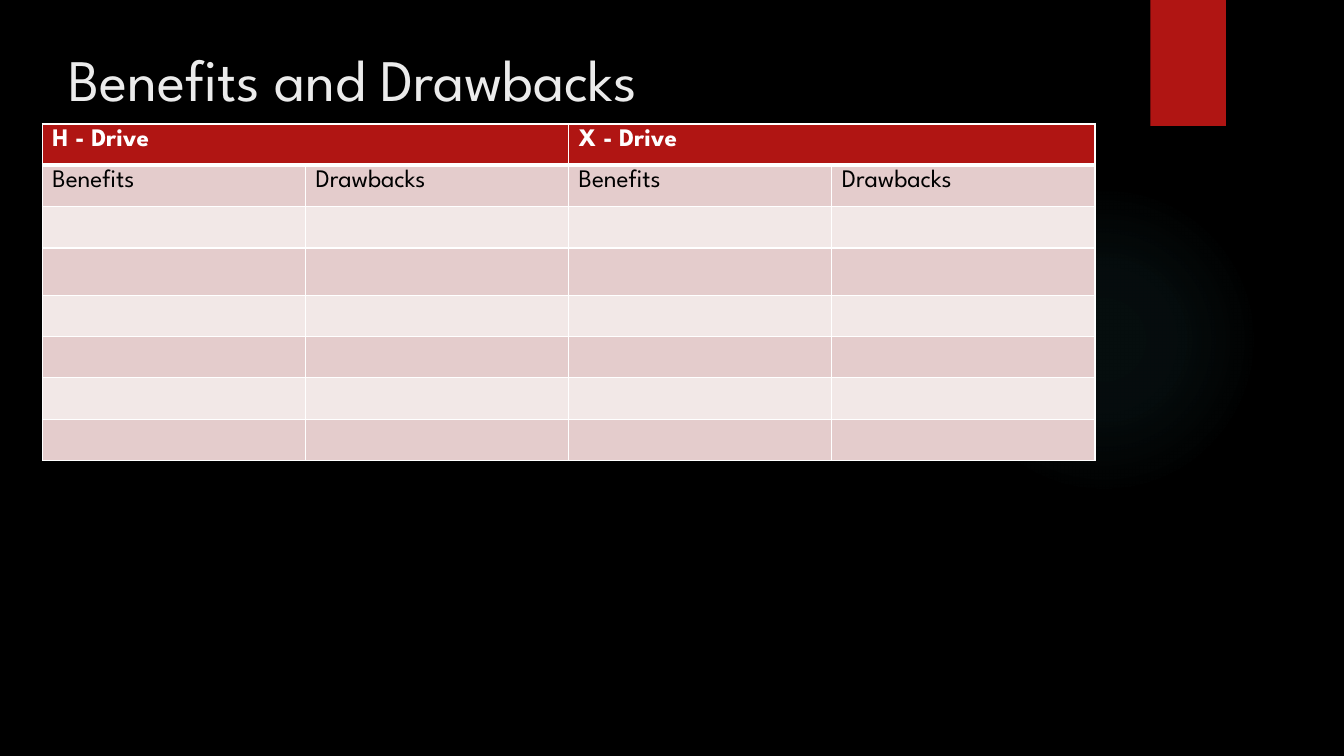
from pptx import Presentation
from pptx.dml.color import RGBColor as RGB
from pptx.enum.shapes import MSO_SHAPE as SHAPE
from pptx.enum.text import MSO_ANCHOR as ANCHOR
from pptx.oxml import parse_xml
from pptx.oxml.ns import nsdecls, qn
from pptx.util import Inches, Pt

COLORS = {
    "background": "000000",
    "title": "EBEBEB",
    "accent": "B01513",
    "glow": "50B9C1",
    "white": "FFFFFF",
    "black": "000000",
    "band_dark": "E4CCCC",
    "band_light": "F2E8E7",
}
DRIVES = ["H - Drive", "X - Drive"]
SIDES = ["Benefits", "Drawbacks"]
ROW_HEIGHTS = [0.41] * 3 + [0.47] + [0.41] * 4
COLUMN_WIDTH = 2.61


def write(tf, text, size=18, color="black", bold=False, font="League Spartan"):
    r = tf.paragraphs[0].add_run()
    r.text = text
    r.font.size = Pt(size)
    r.font.name = font
    r.font.bold = bold
    r.font.color.rgb = RGB.from_string(COLORS[color])


class Deck:
    """Holds the slide style and draws each kind of element."""

    def __init__(self):
        self.prs = Presentation()
        self.prs.slide_width = Inches(13.33)
        self.prs.slide_height = Inches(7.5)
        self.s = self.prs.slides.add_slide(self.prs.slide_layouts[6])
        self.paint(self.s.background.fill, "background")

    def paint(self, fill, color):
        fill.solid()
        fill.fore_color.rgb = RGB.from_string(COLORS[color])

    def shape(self, kind, *box):
        sp = self.s.shapes.add_shape(kind, *map(Inches, box))
        sp.shadow.inherit = False
        sp.line.fill.background()
        return sp

    def glow(self, *box):
        sp = self.shape(SHAPE.OVAL, *box)
        sp.fill.background()
        stops = "".join(
            f'<a:gs pos="{pos * 1000}"><a:srgbClr val="{COLORS["glow"]}">'
            f'<a:alpha val="{alpha * 1000}"/></a:srgbClr></a:gs>'
            for pos, alpha in [(0, 7), (36, 6), (69, 0)]
        )
        gradient = parse_xml(
            f'<a:gradFill {nsdecls("a")} rotWithShape="1"><a:gsLst>{stops}</a:gsLst>'
            '<a:path path="circle"><a:fillToRect l="50000" t="50000" r="50000" b="50000"/>'
            "</a:path></a:gradFill>"
        )
        spPr = sp._element.spPr
        spPr.replace(spPr.find(qn("a:noFill")), gradient)

    def ribbon(self, *box):
        sp = self.shape(SHAPE.RECTANGLE, *box)
        self.paint(sp.fill, "accent")
        sp._element.spPr.find(qn("a:effectLst")).append(parse_xml(
            f'<a:outerShdw {nsdecls("a")} blurRad="{Pt(3)}" dist="{Pt(2)}" dir="5400000">'
            '<a:srgbClr val="000000"><a:alpha val="45000"/></a:srgbClr></a:outerShdw>'
        ))

    def title(self, text, *box):
        tf = self.s.shapes.add_textbox(*map(Inches, box)).text_frame
        tf.word_wrap = True
        tf.vertical_anchor = ANCHOR.MIDDLE
        write(tf, text, size=42, color="title")

    def borders(self, cell, top=1, bottom=1):
        tcPr = cell._tc.get_or_add_tcPr()
        for i, (side, width) in enumerate(zip("LRTB", [1, 1, top, bottom])):
            tcPr.insert(i, parse_xml(
                f'<a:ln{side} {nsdecls("a")} w="{Pt(width)}"><a:solidFill>'
                f'<a:srgbClr val="{COLORS["white"]}"/></a:solidFill></a:ln{side}>'
            ))

    def table(self, left, top):
        cols = len(DRIVES) * len(SIDES)
        size = (left, top, cols * COLUMN_WIDTH, sum(ROW_HEIGHTS))
        table = self.s.shapes.add_table(len(ROW_HEIGHTS), cols, *map(Inches, size)).table
        for column in table.columns:
            column.width = Inches(COLUMN_WIDTH)
        for i, height in enumerate(ROW_HEIGHTS):
            table.rows[i].height = Inches(height)
            band = "accent" if i == 0 else "band_dark" if i % 2 else "band_light"
            for cell in table.rows[i].cells:
                self.paint(cell.fill, band)
                self.borders(cell, top=3 if i == 1 else 1, bottom=3 if i == 0 else 1)
        for d, drive in enumerate(DRIVES):
            first = d * len(SIDES)
            head = table.cell(0, first)
            head.merge(table.cell(0, first + len(SIDES) - 1))
            write(head.text_frame, drive, color="white", bold=True)
            for j, side in enumerate(SIDES):
                write(table.cell(1, first + j).text_frame, side)


def main():
    deck = Deck()
    deck.glow(9.41, 1.83, 3.08, 3.08)
    deck.ribbon(11.41, 0, 0.75, 1.25)
    deck.title("Benefits and Drawbacks", 0.58, 0.32, 10.29, 0.91)
    deck.table(0.42, 1.23)
    deck.prs.save("out.pptx")


if __name__ == "__main__":
    main()
